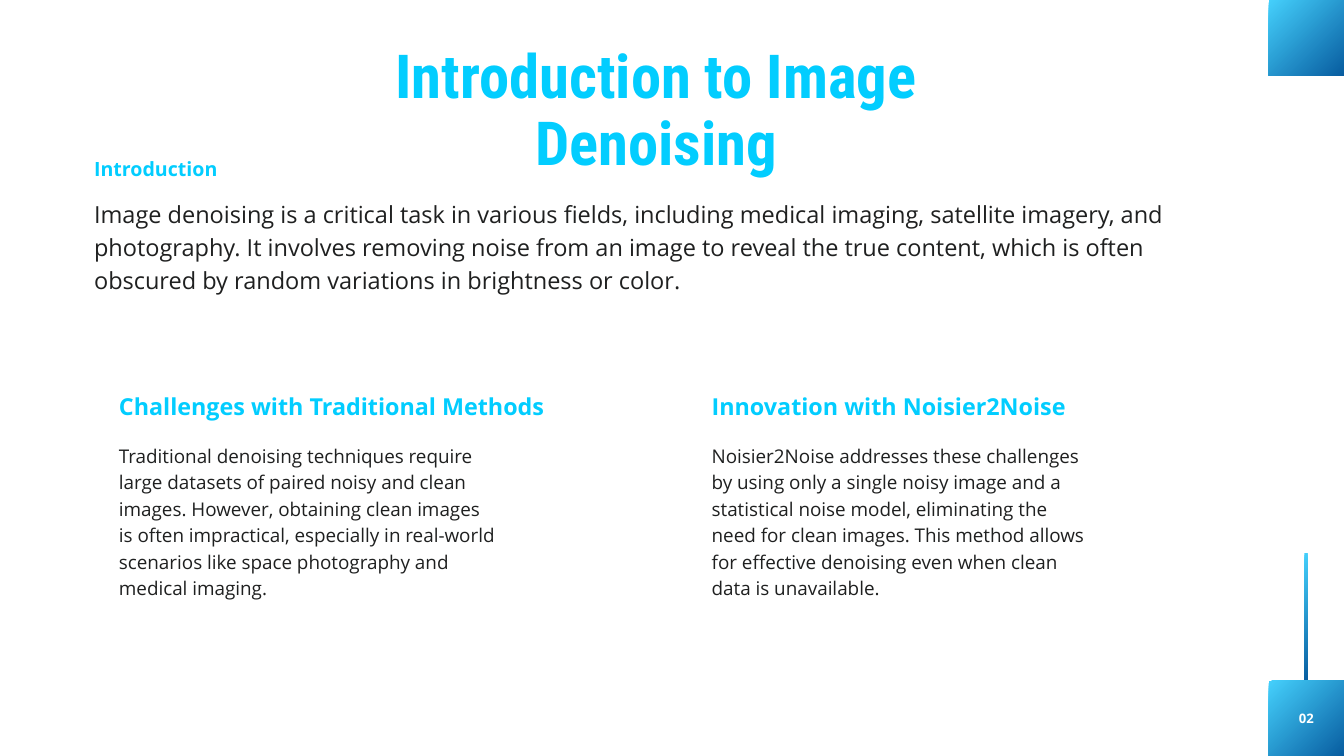
from dataclasses import dataclass

from pptx import Presentation
from pptx.dml.color import RGBColor as RGB
from pptx.enum.shapes import MSO_SHAPE as Shape
from pptx.enum.text import MSO_ANCHOR as Anchor, MSO_AUTO_SIZE as AutoSize, PP_ALIGN as Align
from pptx.util import Inches, Pt


@dataclass(frozen=True)
class Style:
    size: float
    leading: float
    color: RGB
    font: str = "Open Sans"
    bold: bool = False
    align: Align = Align.LEFT


class Theme:
    accent = RGB(0x02, 0xCD, 0xFF)
    ink = RGB(0x1F, 0x20, 0x20)
    white = RGB(0xFF, 0xFF, 0xFF)
    gradient = RGB(0x45, 0xD0, 0xFC), RGB(0x08, 0x5D, 0xA0)
    title = Style(65, 71.5, accent, "Roboto Condensed", True, Align.CENTER)
    lead_heading = Style(21, 29.4, accent, bold=True)
    lead = Style(25.2, 35.4, ink)
    heading = Style(25, 35, accent, bold=True)
    body = Style(20.2, 28.3, ink)
    page = Style(14, 19.6, white, bold=True, align=Align.CENTER)


WIDTH, HEIGHT = 20, 11.25
SQUARE = 1.12
LEAD_LEFT = 1.4
COLUMN_LEFT, COLUMN_STEP = 1.77, 8.82

LEAD = (
    "Image denoising is a critical task in various fields, including medical imaging, "
    "satellite imagery, and photography. It involves removing noise from an image to reveal "
    "the true content, which is often obscured by random variations in brightness or color."
)
COLUMNS = [
    (
        "Challenges with Traditional Methods",
        "Traditional denoising techniques require large datasets of paired noisy and clean "
        "images. However, obtaining clean images is often impractical, especially in "
        "real-world scenarios like space photography and medical imaging.",
    ),
    (
        "Innovation with Noisier2Noise",
        "Noisier2Noise addresses these challenges by using only a single noisy image and a "
        "statistical noise model, eliminating the need for clean images. This method allows "
        "for effective denoising even when clean data is unavailable.",
    ),
]


def add_gradient_block(s, left, top, width, height):
    sp = s.shapes.add_shape(
        Shape.RECTANGLE, Inches(left), Inches(top), Inches(width), Inches(height)
    )
    sp.shadow.inherit = False
    sp.line.fill.background()
    sp.fill.gradient()
    sp.fill.gradient_angle = 315
    for stop, color in zip(sp.fill.gradient_stops, Theme.gradient):
        stop.color.rgb = color


def write_text(sp, text, style):
    tf = sp.text_frame
    tf.margin_left = tf.margin_top = tf.margin_right = tf.margin_bottom = 0
    tf.word_wrap = True
    tf.auto_size = AutoSize.SHAPE_TO_FIT_TEXT
    tf.vertical_anchor = Anchor.TOP
    p = tf.paragraphs[0]
    p.alignment = style.align
    p.line_spacing = Pt(style.leading)
    r = p.add_run()
    r.text = text
    r.font.name = style.font
    r.font.size = Pt(style.size)
    r.font.bold = style.bold
    r.font.color.rgb = style.color


def add_text(s, left, top, width, height, text, style):
    sp = s.shapes.add_textbox(Inches(left), Inches(top), Inches(width), Inches(height))
    write_text(sp, text, style)


def set_title(s, left, top, width, height, text):
    sp = s.shapes.title
    sp.left, sp.top = Inches(left), Inches(top)
    sp.width, sp.height = Inches(width), Inches(height)
    write_text(sp, text, Theme.title)


def add_column(s, left, heading, body):
    add_text(s, left, 5.77, 7.11, 0.48, heading, Theme.heading)
    add_text(s, left, 6.56, 5.61, 2.3, body, Theme.body)


def main():
    prs = Presentation()
    prs.slide_width, prs.slide_height = Inches(WIDTH), Inches(HEIGHT)
    s = prs.slides.add_slide(prs.slide_layouts[5])

    add_gradient_block(s, 19.41, 8.23, 0.05, 1.9)
    for top in (0, HEIGHT - SQUARE):
        add_gradient_block(s, WIDTH - SQUARE, top, SQUARE, SQUARE)
    add_text(s, 19.14, 10.54, 0.6, 0.26, "02", Theme.page)

    set_title(s, 4.49, 0.66, 10.55, 1.01, "Introduction to Image Denoising")
    add_text(s, LEAD_LEFT, 2.28, 3.49, 0.39, "Introduction", Theme.lead_heading)
    add_text(s, LEAD_LEFT, 2.9, 16.39, 1.45, LEAD, Theme.lead)
    for i, (heading, body) in enumerate(COLUMNS):
        add_column(s, COLUMN_LEFT + i * COLUMN_STEP, heading, body)

    prs.save("out.pptx")


if __name__ == "__main__":
    main()
